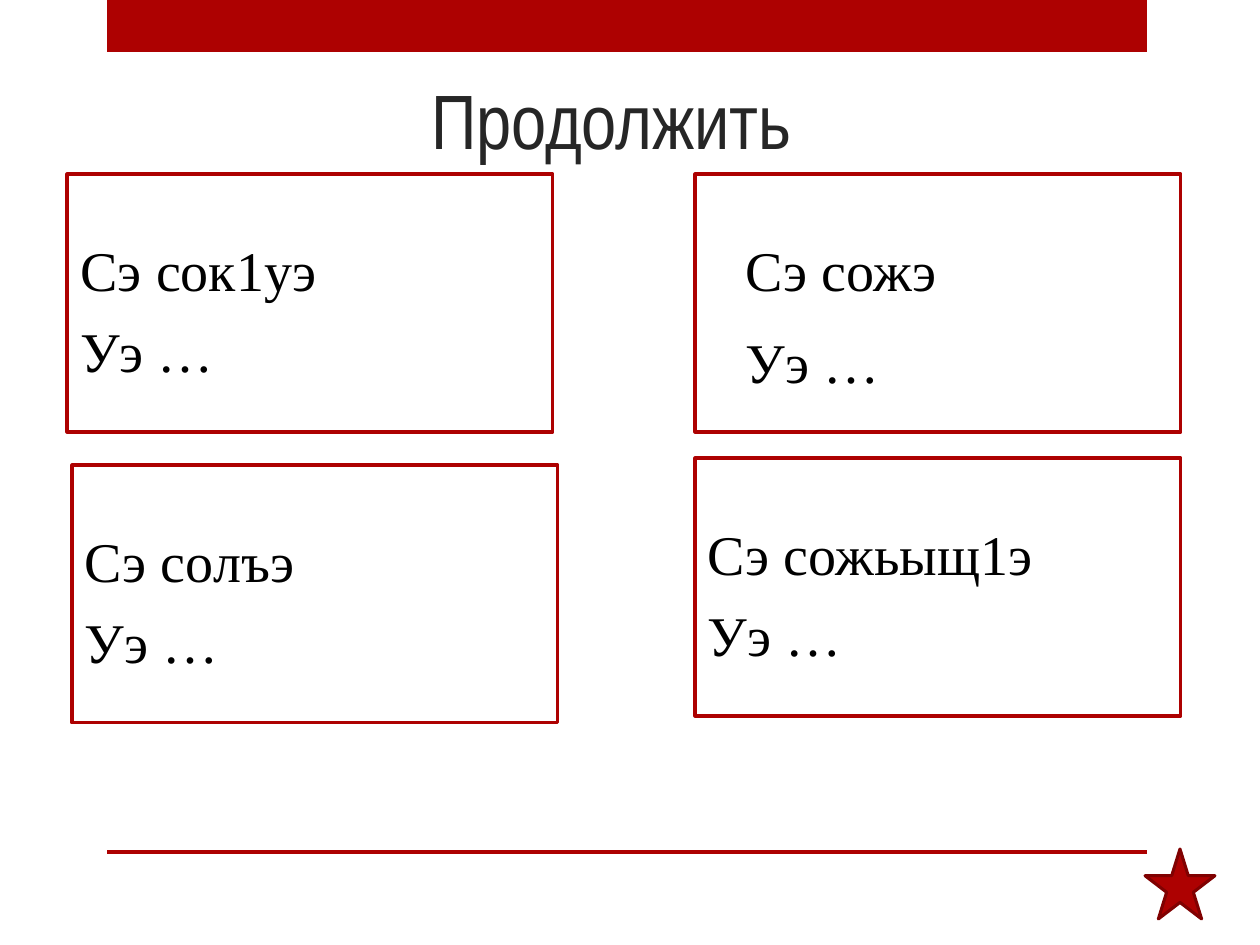
from pptx import Presentation
from pptx.dml.color import RGBColor
from pptx.enum.shapes import MSO_SHAPE
from pptx.enum.text import MSO_ANCHOR, PP_ALIGN
from pptx.util import Pt

RECTANGLE, STAR = MSO_SHAPE.RECTANGLE, MSO_SHAPE.STAR_5_POINT
MIDDLE, BOTTOM = MSO_ANCHOR.MIDDLE, MSO_ANCHOR.BOTTOM
LEFT, CENTER, JUSTIFY = PP_ALIGN.LEFT, PP_ALIGN.CENTER, PP_ALIGN.JUSTIFY
SCALE = 914400 / 126  # EMU per px
COLORS = {"red": "AD0101", "dark red": "800101", "white": "FFFFFF",
          "title": "262626", "text": "000000"}


def px(length):
    return round(length * SCALE)


def add_box(kind, left, top, width, height, fill, line=None):
    box = page.shapes.add_shape(kind, px(left), px(top), px(width), px(height))
    box.shadow.inherit = False
    box.fill.solid()
    box.fill.fore_color.rgb = RGBColor.from_string(COLORS[fill])
    if line:
        box.line.color.rgb = RGBColor.from_string(COLORS[line])
        box.line.width = Pt(1.75)
    else:
        box.line.fill.background()
    return box


deck = Presentation()
deck.slide_width, deck.slide_height = px(1260), px(945)
page = deck.slides.add_slide(deck.slide_layouts[6])

# Top band and bottom rule
add_box(RECTANGLE, 107, 0, 1040, 52, "red")
add_box(RECTANGLE, 107, 850, 1040, 4, "red")

# Title
title = page.shapes.add_textbox(px(144), px(-14), px(935), px(185))
frame = title.text_frame
frame.word_wrap = True
frame.vertical_anchor = BOTTOM
frame.text = "Продолжить"
para = frame.paragraphs[0]
para.alignment = CENTER
para.font.size = Pt(44)
para.font.name = "Arial Narrow"
para.font.color.rgb = RGBColor.from_string(COLORS["title"])

# Exercise cards: left, top, phrase, alignment, indent, line spacing
cards = [
    (67, 174, "Сэ сок1уэ", LEFT, 0, 1),
    (695, 174, "Сэ сожэ", JUSTIFY, 38, 1.15),
    (72, 465, "Сэ солъэ", LEFT, 0, 1),
    (695, 458, "Сэ сожьыщ1э", LEFT, 0, 1),
]
for left, top, phrase, alignment, indent, spacing in cards:
    card = add_box(RECTANGLE, left, top, 486, 258, "white", "red")
    frame = card.text_frame
    frame.word_wrap = True
    frame.vertical_anchor = MIDDLE
    frame.margin_left = px(13 + indent)
    frame.margin_top = px(20)
    frame.text = phrase + "\nУэ …"
    for para in frame.paragraphs:
        para.alignment = alignment
        para.line_spacing = spacing
        para.font.size = Pt(32)
        para.font.name = "Times New Roman"
        para.font.color.rgb = RGBColor.from_string(COLORS["text"])
    frame.paragraphs[1].space_before = Pt(8)

# Corner star
add_box(STAR, 1145, 849, 70, 70, "red", "dark red")

deck.save("out.pptx")
